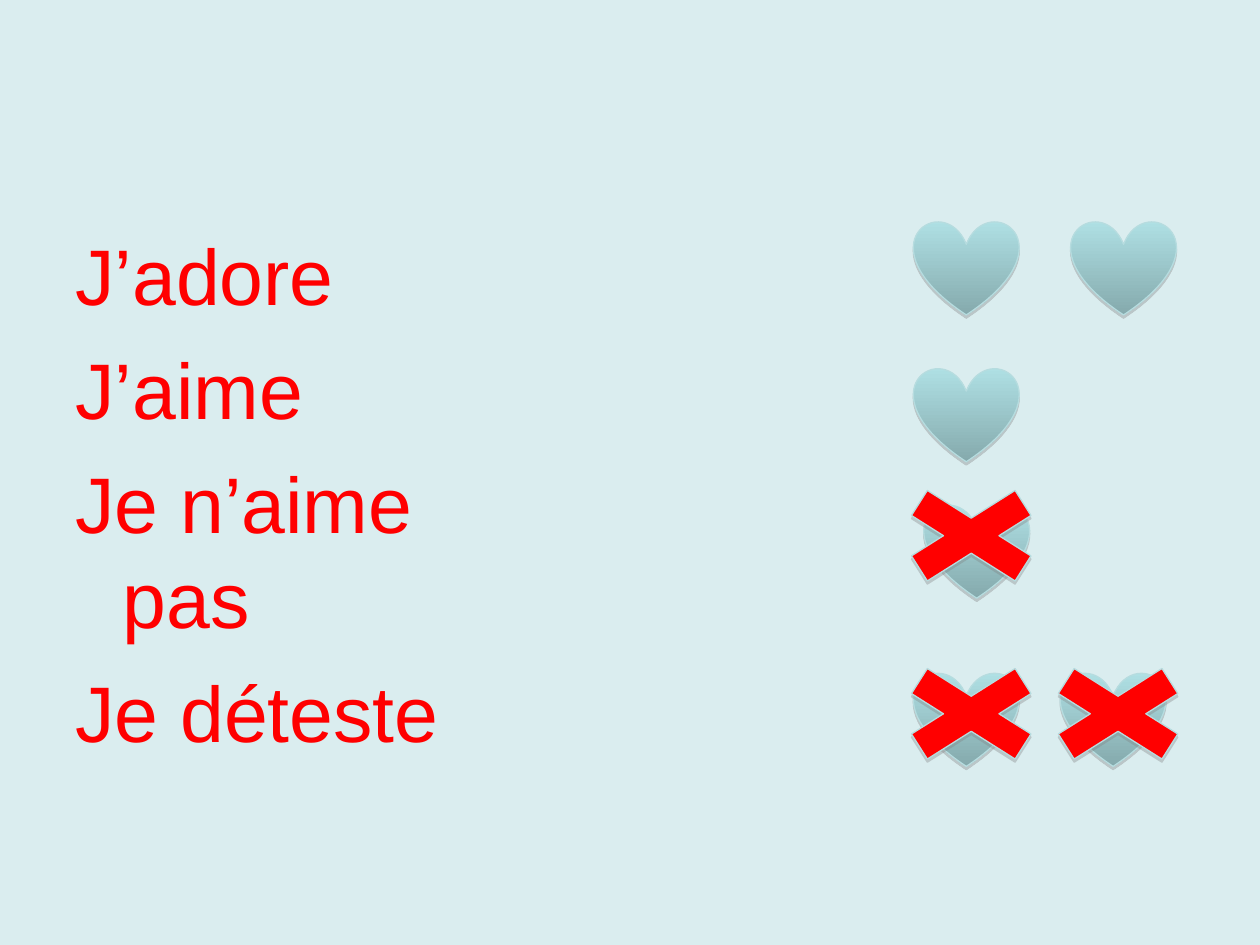
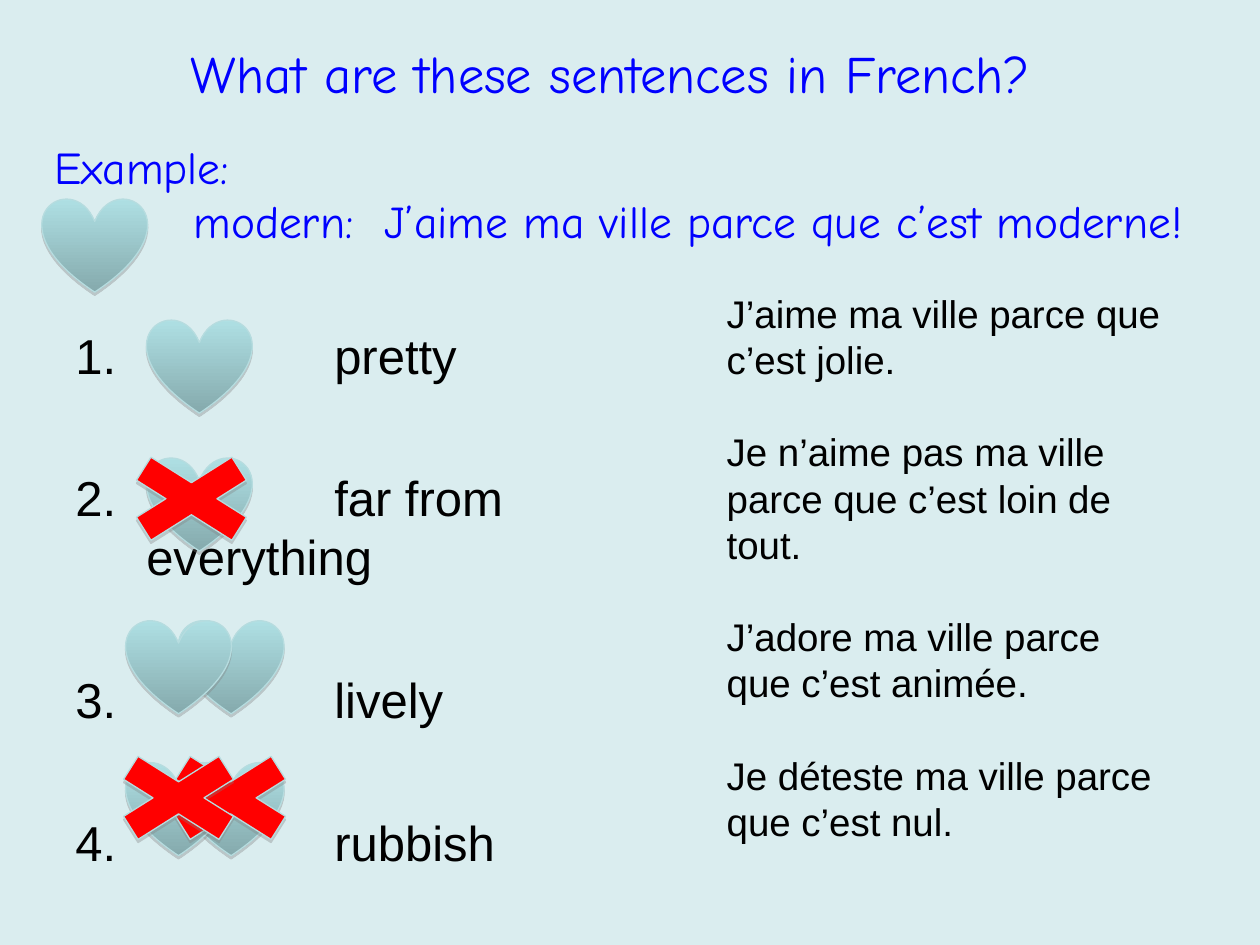
from lxml import etree
from pptx import Presentation
from pptx.dml.color import RGBColor
from pptx.enum.shapes import MSO_SHAPE
from pptx.oxml.ns import qn
from pptx.util import Cm, Pt

HEART, CROSS = MSO_SHAPE.HEART, MSO_SHAPE.MATH_MULTIPLY
BACKGROUND = RGBColor(0xDA, 0xED, 0xEF)
HEART_TOP = RGBColor(0xAF, 0xE0, 0xE4)
HEART_BOTTOM = RGBColor(0x85, 0xAA, 0xAD)
OUTLINE = RGBColor(0xB6, 0xDC, 0xDF)
RED = RGBColor(0xFF, 0, 0)
BLUE = RGBColor(0, 0, 0xFF)
BLACK = RGBColor(0, 0, 0)

HEART_SIZE = (2.12, 1.9)
BIG_CROSS = (4.02, 2.54)
SMALL_CROSS = (3.7, 2.33)

OPINIONS = ["J’adore", "J’aime", "Je n’aime pas", "Je déteste"]
TITLE = ["What are these sentences in French?"]
EXAMPLE = ["Example:", "\tmodern:\tJ’aime ma ville parce que c’est moderne!"]
PROMPTS = ["\tpretty", "\tfar from everything", "\tlively", "\trubbish"]
ANSWERS = [
    "J’aime ma ville parce que c’est jolie.",
    "Je n’aime pas ma ville parce que c’est loin de tout.",
    "J’adore ma ville parce que c’est animée.",
    "Je déteste ma ville parce que c’est nul.",
]

OPINION_HEARTS = [(18.42, 4.45), (21.59, 4.45), (18.42, 7.41),
                  (18.63, 10.16), (18.42, 13.55), (21.38, 13.55)]
OPINION_CROSSES = [(17.57, 13.12), (20.53, 13.12), (17.57, 9.53)]
PROMPT_HEARTS = [(2.96, 9.21), (3.6, 12.49), (2.54, 12.49),
                 (3.6, 15.35), (2.96, 6.43), (2.54, 15.35)]
PROMPT_CROSSES = [(2.8, 14.92), (2.01, 8.89), (1.75, 14.92)]
EXAMPLE_HEART = [(0.85, 3.99)]

OPINION_STYLE = {"size": Pt(45), "name": "Arial", "color": RED}
TITLE_STYLE = {"size": Pt(30), "name": "Comic Neue", "color": BLUE}
EXAMPLE_STYLE = {**TITLE_STYLE, "size": Pt(26)}
PROMPT_STYLE = {"size": Pt(28), "name": "Arial", "color": BLACK}
ANSWER_STYLE = {**PROMPT_STYLE, "size": Pt(22)}


def add_slide(prs):
    s = prs.slides.add_slide(prs.slide_layouts[6])
    s.background.fill.solid()
    s.background.fill.fore_color.rgb = BACKGROUND
    return s


def add_text(s, box, lines, style, gap=0, hang=0, tabs=(), numbered=False):
    tf = s.shapes.add_textbox(*map(Cm, box)).text_frame
    tf.word_wrap = True
    for i, line in enumerate(lines):
        p = tf.paragraphs[0] if i == 0 else tf.add_paragraph()
        pPr = p._p.get_or_add_pPr()
        if hang:
            pPr.set("marL", str(Cm(hang)))
            pPr.set("indent", str(-Cm(hang)))
        if numbered:
            etree.SubElement(pPr, qn("a:buFont"), typeface="Arial")
            etree.SubElement(pPr, qn("a:buAutoNum"), type="arabicPeriod", startAt=str(i + 1))
        if tabs:
            tab_list = etree.SubElement(pPr, qn("a:tabLst"))
            for tab in tabs:
                etree.SubElement(tab_list, qn("a:tab"), pos=str(Cm(tab)), algn="l")
        if i and gap:
            p.space_before = Pt(gap)
        r = p.add_run()
        r.text = line
        for key, value in style.items():
            if key == "color":
                r.font.color.rgb = value
            else:
                setattr(r.font, key, value)


def add_symbols(s, kind, size, places):
    for place in places:
        sp = s.shapes.add_shape(kind, *map(Cm, place + size))
        if kind == HEART:
            sp.fill.gradient()
            sp.fill.gradient_angle = 270
            for stop, color in zip(sp.fill.gradient_stops, (HEART_TOP, HEART_BOTTOM)):
                stop.color.rgb = color
        else:
            sp.fill.solid()
            sp.fill.fore_color.rgb = RED
        sp.line.color.rgb = OUTLINE
        sp.line.width = Pt(0.75)
        sp.shadow.inherit = False
        effects = sp._element.spPr.find(qn("a:effectLst"))
        shadow = etree.SubElement(effects, qn("a:outerShdw"), dist=str(Pt(1.8)),
                                  dir="5400000", rotWithShape="0")
        color = etree.SubElement(shadow, qn("a:srgbClr"), val="808080")
        etree.SubElement(color, qn("a:alpha"), val="35000")


def build_opinions(prs):
    s = add_slide(prs)
    add_text(s, (1.27, 4.45, 10.16, 12.57), OPINIONS, OPINION_STYLE, gap=11.2, hang=0.95)
    add_symbols(s, HEART, HEART_SIZE, OPINION_HEARTS)
    add_symbols(s, CROSS, BIG_CROSS, OPINION_CROSSES)


def build_sentences(prs):
    s = add_slide(prs)
    add_text(s, (1.27, 6.43, 13.13, 12.57), PROMPTS, PROMPT_STYLE,
             gap=48, hang=1.43, tabs=[5.22], numbered=True)
    add_text(s, (3.6, 0.71, 20.52, 1.52), TITLE, TITLE_STYLE)
    add_symbols(s, HEART, HEART_SIZE, PROMPT_HEARTS)
    add_symbols(s, CROSS, SMALL_CROSS, PROMPT_CROSSES)
    add_text(s, (0.85, 2.67, 24.2, 2.46), EXAMPLE, EXAMPLE_STYLE, tabs=[2.8, 6.66])
    add_symbols(s, HEART, HEART_SIZE, EXAMPLE_HEART)
    add_text(s, (14.4, 5.72, 9.53, 11.43), ANSWERS, ANSWER_STYLE, gap=26.4)


def main():
    prs = Presentation()
    prs.slide_width, prs.slide_height = Cm(25.4), Cm(19.05)
    build_opinions(prs)
    build_sentences(prs)
    prs.save("out.pptx")


if __name__ == "__main__":
    main()
